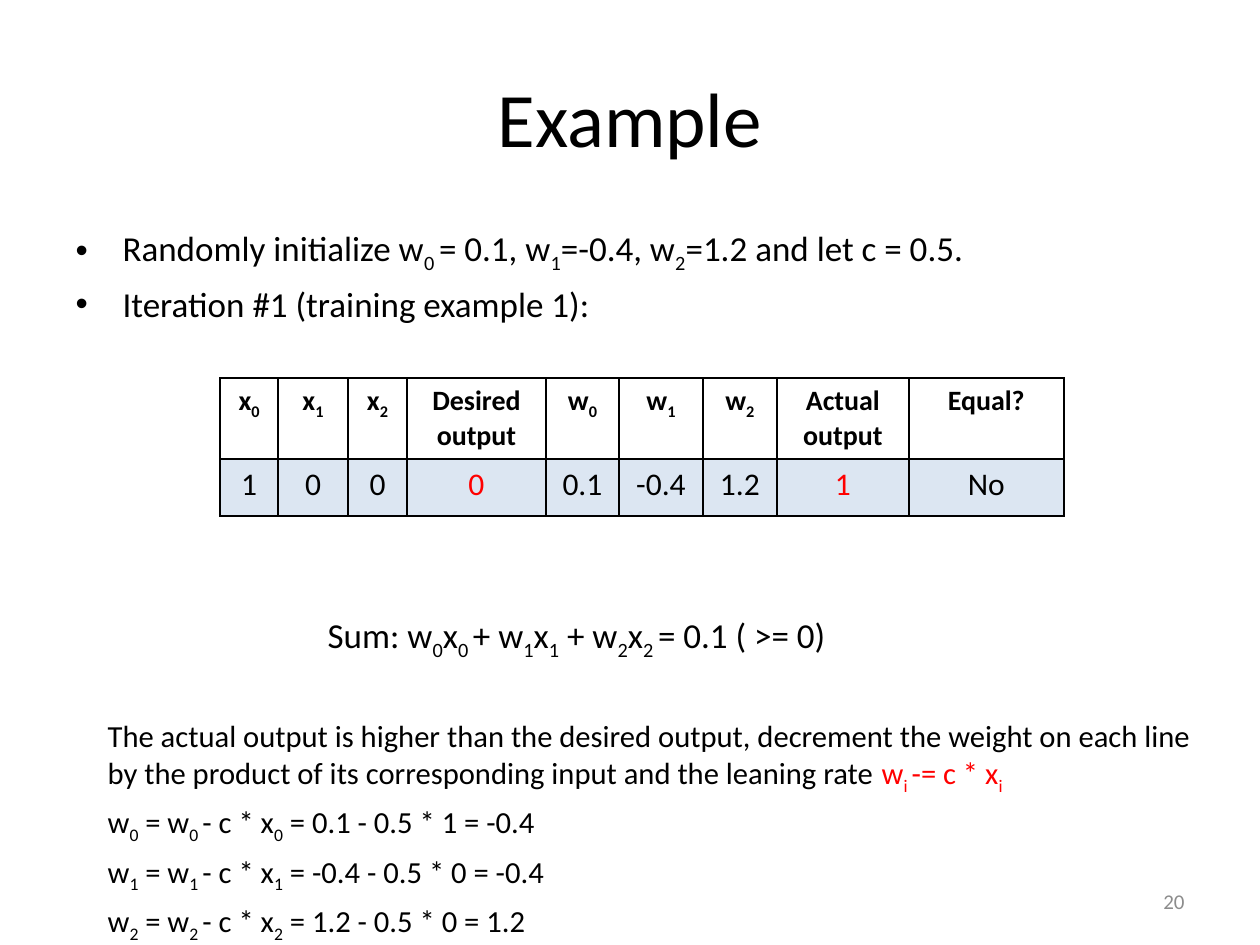
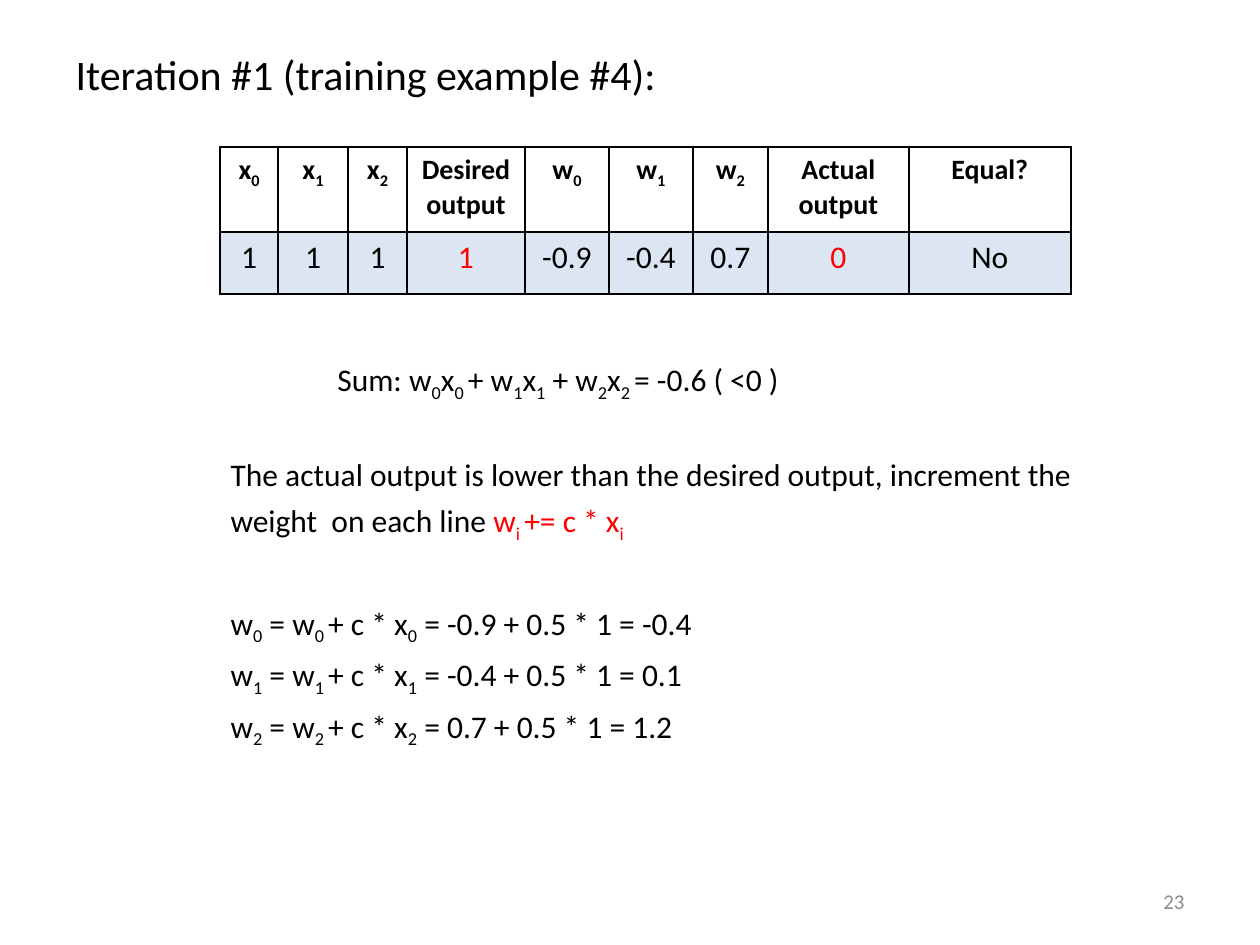
from lxml.etree import SubElement
from pptx import Presentation
from pptx.dml.color import RGBColor
from pptx.enum.text import MSO_ANCHOR as ANCHOR, MSO_AUTO_SIZE as AUTO, PP_ALIGN as ALIGN
from pptx.oxml.ns import qn
from pptx.util import Pt

PX = 914400 // 126
FONT, BLACK, RED, GREY, BAND = "Calibri", "000000", "FF0000", "8C8C8C", "DCE6F2"
HEADS = ["x~0", "x~1", "x~2", "Desired output", "w~0", "w~1", "w~2", "Actual output", "Equal?"]
SUM = "Sum: w~0~x~0 ~+ w~1~x~1~ + w~2~x~2 ~= "


def write(p, text, size, color=BLACK, bold=False, **fmt):
    for name, value in fmt.items():
        setattr(p, name, value)
    for i, part in enumerate(text.split("|")):
        for j, piece in enumerate(part.split("~")):
            if piece:
                r = p.add_run()
                r.text = piece
                for name, value in {"name": FONT, "size": Pt(size), "bold": bold}.items():
                    setattr(r.font, name, value)
                r.font.color.rgb = RGBColor.from_string(RED if i % 2 else color)
                if j % 2:
                    r.font._element.set("baseline", "-25000")


def frame(sp, box, anchor=ANCHOR.TOP):
    sp.left, sp.top, sp.width, sp.height = (v * PX for v in box)
    tf = sp.text_frame
    for name, value in {"word_wrap": True, "auto_size": AUTO.NONE, "vertical_anchor": anchor}.items():
        setattr(tf, name, value)
    return tf


STEP = "w~{0}~ = w~{0} ~{1} c * x~{0}~ = {2} {1} 0.5 * {3} = {4}"
steps_down = [STEP.format(i, "-", *row) for i, row in enumerate(
    [("0.1", 1, "-0.4"), ("-0.4", 0, "-0.4"), ("1.2", 0, "1.2")])]
steps_up = [STEP.format(i, "+", *row) for i, row in enumerate(
    [("-0.9", 1, "-0.4"), ("-0.4", 1, "0.1"), ("0.7", 1, "1.2")])]

SLIDES = [
    {
        "number": "20",
        "title": ("Example", 44, ALIGN.CENTER, ANCHOR.MIDDLE, (63, 38, 1134, 157)),
        "body_box": (63, 220, 1155, 662),
        "body": [
            ("Randomly initialize w~0 ~= 0.1, w~1~=-0.4, w~2~=1.2 and let c = 0.5.", 20, 47, True, 0, 1),
            ("Iteration #1 (training example 1):", 20, 47, True, 5, 1),
            (SUM + "0.1 ( >= 0)", 20, 252, False, 165, 1),
            ("The actual output is higher than the desired output, decrement the weight on each line "
             "by the product of its corresponding input and the leaning rate |w~i ~-= c * x~i",
             17.5, 32, False, 32, 1),
            *[(step, 17.5, 32, False, 4.3, 1) for step in steps_down],
        ],
        "table_at": (220, 378),
        "cols": [58, 70, 59, 139, 73, 84, 74, 132, 155],
        "rows": [81, 57],
        "values": ["1", "0", "0", "|0", "0.1", "-0.4", "1.2", "|1", "No"],
    },
    {
        "number": "23",
        "title": ("Iteration #1 (training example #4):", 24, ALIGN.LEFT, ANCHOR.TOP, (63, 42, 630, 70)),
        "body_box": (147, 441, 955, 349),
        "body": [
            ("The actual output is lower than the desired output, increment the weight  on each line "
             "|w~i ~+= c * x~i", 18, 71, False, 0, 1.2),
            *[(step, 18, 71, False, 0 if i else 29, 1.2) for i, step in enumerate(steps_up)],
        ],
        "table_at": (220, 147),
        "cols": [58, 70, 59, 118, 84, 84, 75, 141, 162],
        "rows": [85, 62],
        "values": ["1", "1", "1", "|1", "-0.9", "-0.4", "0.7", "|0", "No"],
        "sum": (SUM + "-0.6 ( <0 )", (325, 354, 640, 50)),
    },
]

prs = Presentation()
prs.slide_width, prs.slide_height = 1260 * PX, 945 * PX

for data in SLIDES:
    s = prs.slides.add_slide(prs.slide_layouts[1])

    text, size, align, anchor, box = data["title"]
    tf = frame(s.shapes.title, box, anchor)
    write(tf.paragraphs[0], text, size, alignment=align)

    tf = frame(s.placeholders[1], data["body_box"])
    for i, (text, size, indent, bullet, before, spacing) in enumerate(data["body"]):
        p = tf.add_paragraph() if i else tf.paragraphs[0]
        write(p, text, size, space_before=Pt(before), line_spacing=spacing)
        pPr = p._p.get_or_add_pPr()
        pPr.set("marL", str(indent * PX))
        pPr.set("indent", str(-indent * PX if bullet else 0))
        if bullet:
            SubElement(pPr, qn("a:buChar"), char="•")
        else:
            SubElement(pPr, qn("a:buNone"))

    if "sum" in data:
        text, box = data["sum"]
        tf = frame(s.shapes.add_textbox(0, 0, 0, 0), box)
        write(tf.paragraphs[0], text, 18)

    tf = frame(s.shapes.add_textbox(0, 0, 0, 0), (903, 876, 294, 50), ANCHOR.MIDDLE)
    write(tf.paragraphs[0], data["number"], 12, GREY, alignment=ALIGN.RIGHT)

    left, top = data["table_at"]
    cols, rows = data["cols"], data["rows"]
    table = s.shapes.add_table(len(rows), len(cols), left * PX, top * PX,
                               sum(cols) * PX, sum(rows) * PX).table
    for col, width in zip(table.columns, cols):
        col.width = width * PX
    for row, height in zip(table.rows, rows):
        row.height = height * PX
    for r, texts in enumerate([HEADS, data["values"]]):
        for c, text in enumerate(texts):
            cell = table.cell(r, c)
            write(cell.text_frame.paragraphs[0], text, 18 if r else 16,
                  bold=not r, alignment=ALIGN.CENTER)
            tcPr = cell._tc.get_or_add_tcPr()
            for side in ("a:lnL", "a:lnR", "a:lnT", "a:lnB"):
                ln = SubElement(tcPr, qn(side), w=str(Pt(1)))
                SubElement(SubElement(ln, qn("a:solidFill")), qn("a:srgbClr"), val=BLACK)
            if r:
                cell.fill.solid()
                cell.fill.fore_color.rgb = RGBColor.from_string(BAND)
            else:
                cell.fill.background()

prs.save("out.pptx")
